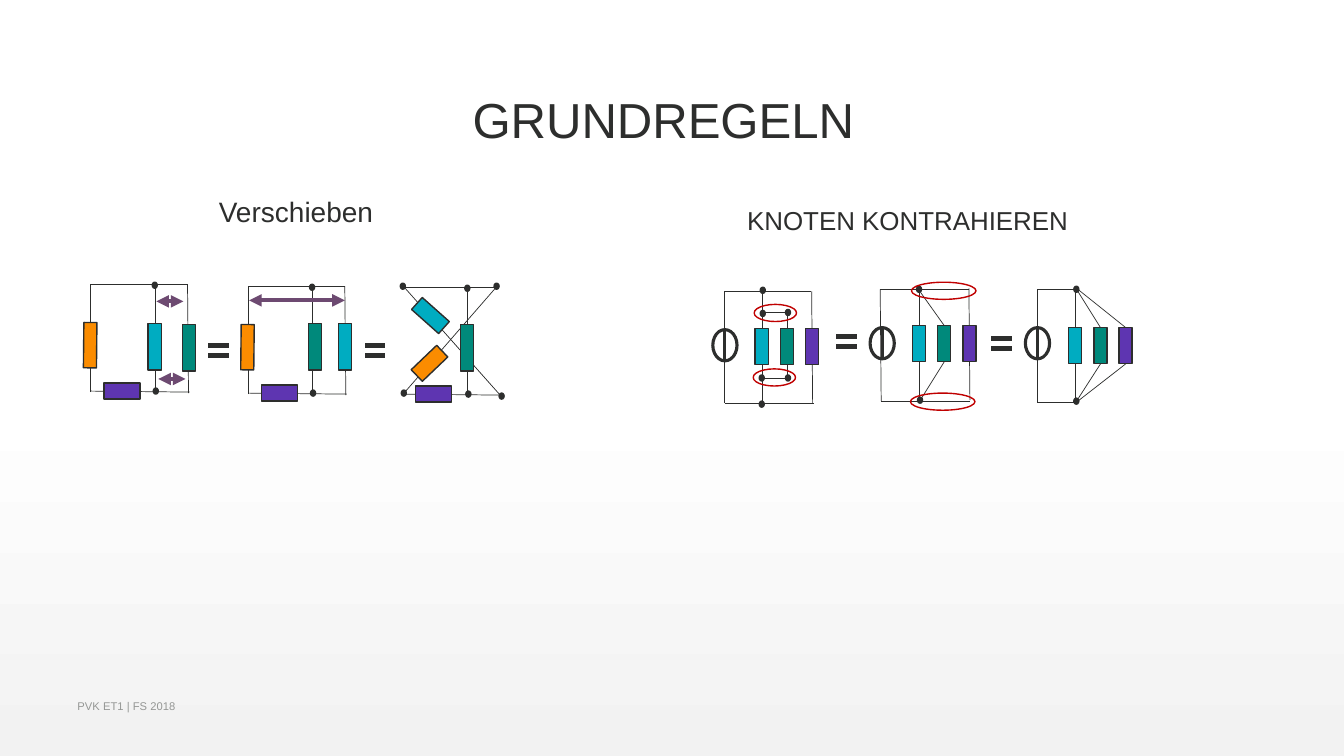
import copy
from dataclasses import dataclass, field

import lxml.etree
import pptx
import pptx.dml.color
import pptx.enum.shapes
import pptx.enum.text
import pptx.oxml.ns
import pptx.shapes.autoshape
import pptx.shapes.connector
import pptx.slide
import pptx.text.text
import pptx.util

Inches = pptx.util.Inches
Pt = pptx.util.Pt
SHAPE = pptx.enum.shapes.MSO_SHAPE
ALIGN = pptx.enum.text.PP_ALIGN
ANCHOR = pptx.enum.text.MSO_ANCHOR
qn = pptx.oxml.ns.qn
Point = tuple[float, float]
Box = tuple[float, float, float, float]
TOP, BOTTOM = 0, 2


@dataclass(frozen=True)
class Theme:
    font: str = "Arial"
    ink: str = "2D2E2D"
    muted: str = "959795"
    paper: str = "FFFFFF"
    shade: str = "F2F2F2"
    orange: str = "FB8C00"
    cyan: str = "00ACC1"
    teal: str = "00897B"
    violet: str = "5E35B1"
    move: str = "6D4A71"
    loop: str = "C00000"
    title_size: float = 35.1
    left_size: float = 20
    right_size: float = 18.5
    footer_size: float = 8
    wire: float = 0.5
    outline: float = 1
    source: float = 2.25
    arrow: float = 3


THEME = Theme()


@dataclass
class Wire:
    start: Point
    end: Point


@dataclass
class Resistor:
    x: float
    y: float
    color: str
    height: float = 0.46
    width: float = 0.13
    turn: float = 0


@dataclass
class Tap:
    """A wire from one side of a resistor to a node."""
    resistor: int
    side: int
    end: Point


@dataclass
class Circuit:
    wires: list[Wire]
    resistors: list[Resistor]
    nodes: list[Point]
    sources: list[Point] = field(default_factory=list)
    taps: list[Tap] = field(default_factory=list)
    moves: list[Wire] = field(default_factory=list)
    loops: list[Box] = field(default_factory=list)


def rgb(color: str) -> pptx.dml.color.RGBColor:
    return pptx.dml.color.RGBColor.from_string(color)


def mesh(x: float, y: float, bars: list[Resistor], moves: list[Wire]) -> Circuit:
    """Rectangular circuit whose top left corner is at x, y."""
    return Circuit(
        [Wire((x, y + 1.07), (x, y)), Wire((x + 0.97, y + 1.08), (x + 0.96, y)),
         Wire((x + 0.64, y + 1.08), (x + 0.64, y)), Wire((x + 0.96, y), (x, y)),
         Wire((x, y + 1.06), (x + 0.98, y + 1.07))],
        [Resistor(x - 0.07, y + 0.38, THEME.orange, 0.45, turn=0.6), *bars,
         Resistor(x + 0.23, y + 0.88, THEME.violet, 0.36, 0.16, 90)],
        [(x + 0.61, y - 0.02), (x + 0.62, y + 1.03)], moves=moves)


def bank(x: float, y: float) -> list[Resistor]:
    """Three parallel resistors at an equal pitch."""
    colors = (THEME.cyan, THEME.teal, THEME.violet)
    return [Resistor(x + 0.25 * i, y, color, 0.36) for i, color in enumerate(colors)]


CIRCUITS = [
    mesh(0.9, 2.82,
         [Resistor(1.47, 3.21, THEME.cyan), Resistor(1.81, 3.22, THEME.teal)],
         [Wire((1.55, 2.99), (1.82, 2.99)), Wire((1.57, 3.76), (1.84, 3.76))]),
    mesh(2.46, 2.84,
         [Resistor(3.36, 3.21, THEME.cyan), Resistor(3.06, 3.21, THEME.teal)],
         [Wire((2.47, 2.98), (3.42, 2.98))]),
    Circuit(
        [Wire((3.99, 3.92), (4.93, 2.84)), Wire((4.97, 3.93), (4.01, 2.85)),
         Wire((4.64, 3.94), (4.64, 2.86)), Wire((4.95, 2.85), (3.99, 2.85)),
         Wire((3.99, 3.91), (4.98, 3.92))],
        [Resistor(4.18, 3.43, THEME.orange, 0.35, 0.16, 46.3),
         Resistor(4.19, 2.95, THEME.cyan, 0.36, 0.16, 311.7),
         Resistor(4.57, 3.22, THEME.teal),
         Resistor(4.22, 3.73, THEME.violet, 0.36, 0.16, 90)],
        [(4.61, 2.83), (4.62, 3.88), (3.97, 2.81), (4.9, 2.81), (3.98, 3.87), (4.95, 3.9)]),
    Circuit(
        [Wire((7.18, 4), (7.18, 2.89)), Wire((8.06, 4), (8.05, 2.89)),
         Wire((7.56, 4), (7.56, 2.88)), Wire((8.04, 2.89), (7.19, 2.89)),
         Wire((7.19, 4), (8.07, 4)), Wire((7.8, 3.75), (7.56, 3.75)),
         Wire((7.8, 3.1), (7.56, 3.1)), Wire((7.81, 3.73), (7.81, 3.13))],
        bank(7.49, 3.26),
        [(7.54, 2.85), (7.53, 3.98), (7.79, 3.07), (7.79, 3.72), (7.53, 3.72), (7.54, 3.08)],
        [(7.07, 3.27)],
        loops=[(7.48, 3.02, 0.42, 0.17), (7.47, 3.66, 0.42, 0.17)]),
    Circuit(
        [Wire((9.62, 3.97), (9.61, 2.86)), Wire((9.12, 3.97), (9.12, 2.85)),
         Wire((8.74, 3.98), (8.73, 2.87)), Wire((9.61, 2.87), (8.73, 2.87)),
         Wire((8.74, 3.98), (9.62, 3.98))],
        bank(9.05, 3.23), [(9.1, 3.94), (9.09, 2.84)], [(8.63, 3.25)],
        [Tap(1, BOTTOM, (9.14, 3.95)), Tap(1, TOP, (9.13, 2.9))],
        loops=[(9.03, 3.9, 0.64, 0.17), (9.04, 2.8, 0.64, 0.17)]),
    Circuit(
        [Wire((10.67, 3.99), (10.67, 2.87)), Wire((10.29, 3.99), (10.29, 2.88)),
         Wire((10.29, 2.87), (10.65, 2.87)), Wire((10.29, 3.99), (10.65, 3.99))],
        bank(10.6, 3.25), [(10.65, 3.95), (10.65, 2.84)], [(10.17, 3.25)],
        [Tap(1, BOTTOM, (10.69, 3.96)), Tap(1, TOP, (10.69, 2.89)),
         Tap(2, BOTTOM, (10.69, 3.98)), Tap(2, TOP, (10.69, 2.87))]),
]
EQUALS: list[Box] = [(2.02, 3.34, 0.3, 0.27), (3.57, 3.34, 0.3, 0.27),
                     (8.24, 3.25, 0.31, 0.28), (9.78, 3.27, 0.31, 0.28)]


def add_part(slide: pptx.slide.Slide, kind: SHAPE, box: Box, fill: str | None,
             line: str = THEME.ink, width: float = THEME.outline) -> pptx.shapes.autoshape.Shape:
    part = slide.shapes.add_shape(kind, *map(Inches, box))
    part.shadow.inherit = False
    if fill:
        part.fill.solid()
        part.fill.fore_color.rgb = rgb(fill)
    else:
        part.fill.background()
    part.line.color.rgb = rgb(line)
    part.line.width = Pt(width)
    return part


def add_wire(slide: pptx.slide.Slide, wire: Wire, color: str = THEME.ink,
             width: float = THEME.wire, arrows: bool = False) -> pptx.shapes.connector.Connector:
    straight = pptx.enum.shapes.MSO_CONNECTOR.STRAIGHT
    drawn = slide.shapes.add_connector(straight, *map(Inches, wire.start + wire.end))
    drawn.line.color.rgb = rgb(color)
    drawn.line.width = Pt(width)
    properties = drawn.element.spPr
    if arrows:
        for end in ("a:headEnd", "a:tailEnd"):
            lxml.etree.SubElement(properties.find(qn("a:ln")), qn(end), type="triangle")
    lxml.etree.SubElement(properties, qn("a:effectLst"))
    return drawn


def add_circuit(slide: pptx.slide.Slide, circuit: Circuit) -> None:
    for wire in circuit.wires:
        add_wire(slide, wire)
    bars = []
    for item in circuit.resistors:
        bar = add_part(slide, SHAPE.RECTANGLE, (item.x, item.y, item.width, item.height), item.color)
        bar.rotation = item.turn
        bars.append(bar)
    for tap in circuit.taps:
        add_wire(slide, Wire(tap.end, tap.end)).begin_connect(bars[tap.resistor], tap.side)
    for x, y in circuit.sources:
        add_part(slide, SHAPE.OVAL, (x, y, 0.24, 0.31), None, width=THEME.source)
        add_wire(slide, Wire((x + 0.12, y + 0.31), (x + 0.12, y)), width=THEME.source)
    for x, y in circuit.nodes:
        add_part(slide, SHAPE.OVAL, (x, y, 0.05, 0.06), THEME.ink)
    for move in circuit.moves:
        add_wire(slide, move, THEME.move, THEME.arrow, arrows=True)
    for loop in circuit.loops:
        add_part(slide, SHAPE.OVAL, loop, None, THEME.loop)


def write(holder: pptx.shapes.autoshape.Shape, box: Box, text: str, size: float,
          color: str = THEME.ink, spacing: float = 1, before: float = 0,
          align: ALIGN = ALIGN.LEFT, anchor: ANCHOR = ANCHOR.TOP) -> pptx.text.text._Paragraph:
    holder.left, holder.top, holder.width, holder.height = map(Inches, box)
    frame = holder.text_frame
    frame.word_wrap = True
    frame.auto_size = pptx.enum.text.MSO_AUTO_SIZE.NONE
    frame.vertical_anchor = anchor
    paragraph = frame.paragraphs[0]
    paragraph.alignment, paragraph.line_spacing = align, spacing
    paragraph.space_before = Pt(before)
    run = paragraph.add_run()
    run.text = text
    run.font.name, run.font.size = THEME.font, Pt(size)
    run.font.color.rgb = rgb(color)
    return paragraph


def remove_bullet(paragraph: pptx.text.text._Paragraph) -> None:
    properties = paragraph._p.get_or_add_pPr()
    properties.set("marL", "0")
    properties.set("indent", "0")
    lxml.etree.SubElement(properties, qn("a:buNone"))


def paint_background(slide: pptx.slide.Slide) -> None:
    fill = slide.background.fill
    fill.gradient()
    fill.gradient_angle = 270
    stops = slide.element.find(".//" + qn("a:gsLst"))
    stops.insert(1, copy.deepcopy(stops[0]))
    looks = ((0, THEME.paper), (0.53, THEME.paper), (1, THEME.shade))
    for stop, (position, color) in zip(fill.gradient_stops, looks):
        stop.position, stop.color.rgb = position, rgb(color)


def main() -> None:
    deck = pptx.Presentation()
    deck.slide_width, deck.slide_height = Inches(13.33), Inches(7.5)
    slide = deck.slides.add_slide(deck.slide_layouts.get_by_name("Two Content"))
    paint_background(slide)
    title, left, right = slide.placeholders
    write(title, (0.83, 0.92, 11.5, 0.62), "GRUNDREGELN", THEME.title_size, spacing=0.8,
          align=ALIGN.CENTER, anchor=ANCHOR.MIDDLE)
    remove_bullet(write(left, (2.07, 1.92, 2.13, 0.56), "Verschieben", THEME.left_size,
                        spacing=0.9, before=18))
    remove_bullet(write(right, (7.31, 1.92, 3.52, 0.56), "KNOTEN KONTRAHIEREN",
                        THEME.right_size, spacing=1.2, before=10))
    footer_box = (0.67, 6.88, 6.7, 0.24)
    footer = slide.shapes.add_textbox(*map(Inches, footer_box))
    write(footer, footer_box, "PVK ET1 | FS 2018", THEME.footer_size, THEME.muted,
          anchor=ANCHOR.MIDDLE)
    for circuit in CIRCUITS:
        add_circuit(slide, circuit)
    for box in EQUALS:
        add_part(slide, SHAPE.MATH_EQUAL, box, THEME.ink, THEME.paper)
    deck.save("out.pptx")


if __name__ == "__main__":
    main()
